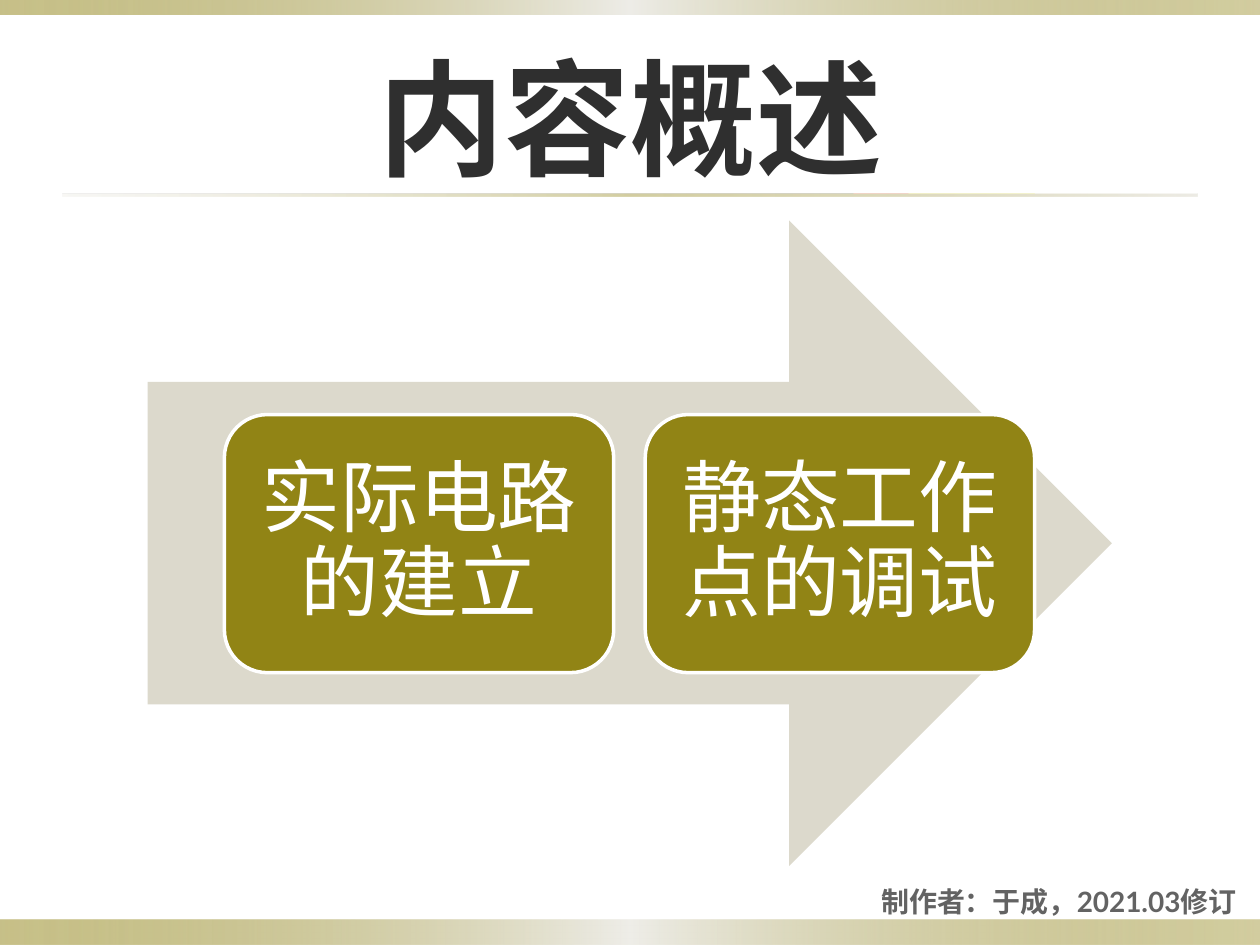
from lxml.etree import SubElement
from pptx import Presentation
from pptx.dml.color import RGBColor
from pptx.enum.shapes import MSO_SHAPE
from pptx.enum.text import MSO_ANCHOR, MSO_AUTO_SIZE, PP_ALIGN
from pptx.oxml.ns import qn
from pptx.util import Pt

FONT = "Lato"
OLIVE = RGBColor(0x91, 0x84, 0x15)
STONE = RGBColor(0xDC, 0xD9, 0xCC)
PALE = RGBColor(0xEE, 0xED, 0xE8)
WHITE = RGBColor(0xFF, 0xFF, 0xFF)
DARK = RGBColor(0x2F, 0x2F, 0x2F)
GREY = RGBColor(0x63, 0x63, 0x63)

# Gradient stops: position %, colour, opacity %
BAND_STOPS = [(0, OLIVE, 50), (50, PALE, 100), (100, OLIVE, 40)]
RULE_STOPS = [(0, STONE, 20), (50, OLIVE, 40), (100, STONE, 50)]

STEPS = ["实际电路的建立", "静态工作点的调试"]
STEP_LEFT, STEP_TOP, STEP_W, STEP_H = 128.2, 236.9, 222.5, 147.5
STEP_PITCH = 240.5


def add_shape(slide, kind, left, top, width, height, color=None):
    sp = slide.shapes.add_shape(kind, Pt(left), Pt(top), Pt(width), Pt(height))
    sp.shadow.inherit = False
    sp.line.fill.background()
    if color is not None:
        sp.fill.solid()
        sp.fill.fore_color.rgb = color
    return sp


def add_gradient_bar(slide, left, top, width, height, stops):
    """Add a bar with a left-to-right gradient of translucent stops."""
    sp = add_shape(slide, MSO_SHAPE.RECTANGLE, left, top, width, height)
    sp.fill.gradient()
    sp.fill.gradient_angle = 0
    gs_list = sp.fill._fill._gradFill.find(qn("a:gsLst"))
    for gs in list(gs_list):
        gs_list.remove(gs)
    for position, color, opacity in stops:
        gs = SubElement(gs_list, qn("a:gs"), pos=str(position * 1000))
        clr = SubElement(gs, qn("a:srgbClr"), val=str(color))
        SubElement(clr, qn("a:alpha"), val=str(opacity * 1000))


def write_text(sp, text, size, color, align, bold=False):
    tf = sp.text_frame
    tf.text = text
    tf.word_wrap = True
    tf.auto_size = MSO_AUTO_SIZE.NONE
    tf.vertical_anchor = MSO_ANCHOR.MIDDLE
    p = tf.paragraphs[0]
    p.alignment = align
    font = p.runs[0].font
    font.name, font.size, font.bold = FONT, Pt(size), bold
    font.color.rgb = color
    return tf


def add_title(slide, text):
    title = slide.shapes.title
    title.left, title.top, title.width, title.height = Pt(36), Pt(21.6), Pt(648), Pt(90)
    write_text(title, text, 72, DARK, PP_ALIGN.CENTER, bold=True)


def add_step(slide, left, text):
    sp = add_shape(slide, MSO_SHAPE.ROUNDED_RECTANGLE,
                   left, STEP_TOP, STEP_W, STEP_H, OLIVE)
    sp.line.color.rgb = WHITE
    sp.line.width = Pt(2)
    tf = write_text(sp, text, 45, WHITE, PP_ALIGN.CENTER)
    tf.margin_left = tf.margin_right = tf.margin_top = tf.margin_bottom = Pt(13.5)
    tf.paragraphs[0].line_spacing = 0.9


def add_footer(slide, text):
    box = slide.shapes.add_textbox(Pt(419.8), Pt(504), Pt(293.8), Pt(22.3))
    write_text(box, text, 16, GREY, PP_ALIGN.RIGHT, bold=True)


def main():
    prs = Presentation()
    prs.slide_width, prs.slide_height = Pt(720), Pt(540)
    slide = prs.slides.add_slide(prs.slide_layouts[5])

    add_gradient_bar(slide, 0, 525.6, 720, 14.4, BAND_STOPS)
    add_gradient_bar(slide, 0, 0, 720, 8.6, BAND_STOPS)
    add_gradient_bar(slide, 36, 110.9, 648, 1.4, RULE_STOPS)
    add_title(slide, "内容概述")

    add_shape(slide, MSO_SHAPE.RIGHT_ARROW, 84.4, 126, 551, 368.8, STONE)
    for i, text in enumerate(STEPS):
        add_step(slide, STEP_LEFT + i * STEP_PITCH, text)
    add_footer(slide, "制作者：于成，2021.03修订")

    prs.save("out.pptx")


if __name__ == "__main__":
    main()
